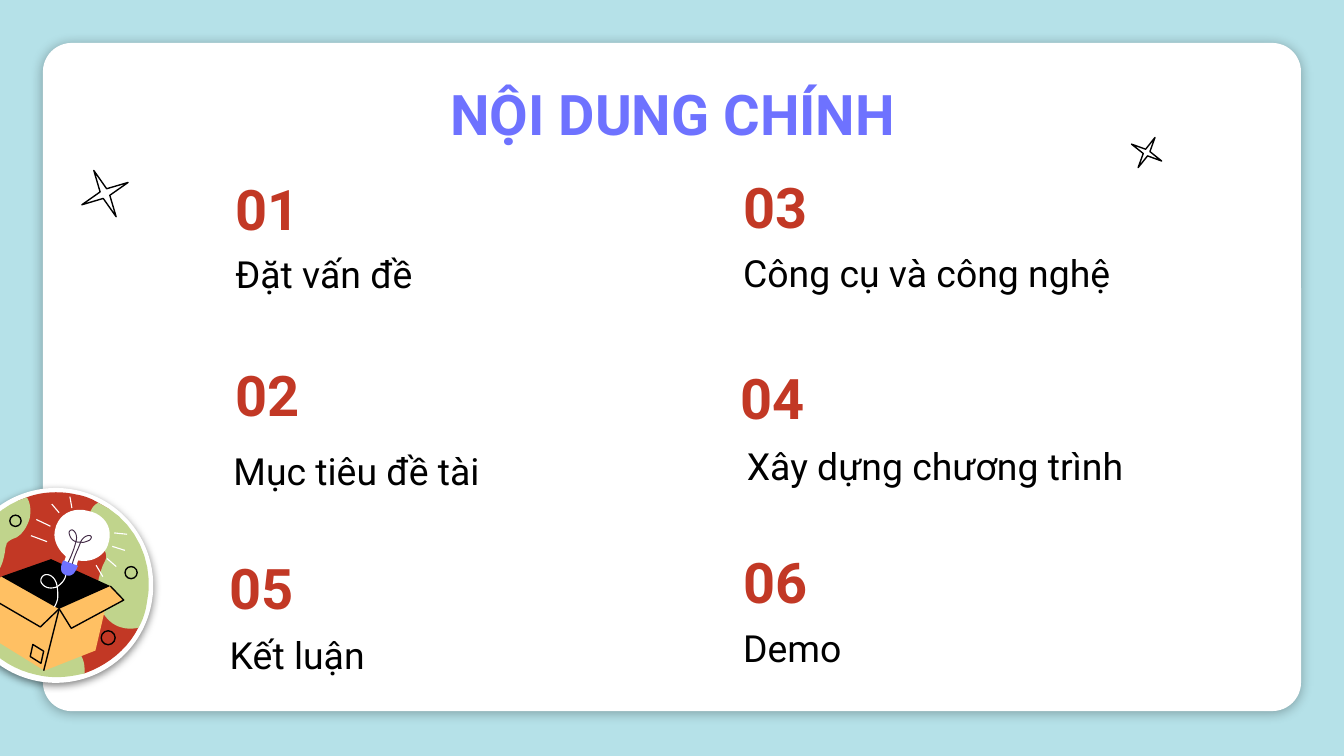
from lxml import etree
from pptx import Presentation
from pptx.dml.color import RGBColor
from pptx.enum.shapes import MSO_SHAPE as Shape
from pptx.enum.text import MSO_ANCHOR as Anchor, PP_ALIGN as Align
from pptx.oxml import parse_xml
from pptx.oxml.ns import nsdecls, qn
from pptx.util import Pt

COLORS = {
    "sky": "B5E1E8", "white": "FFFFFF", "black": "000000", "violet": "6E72FF",
    "red": "C23825", "green": "C0D48C", "carton": "FFC063", "plum": "412945",
}

# Number, label, and their boxes: left, top, width, height
AGENDA = [
    ("01", (119, 86.5, 75, 50), "Đặt vấn đề", (119, 137, 230, 29)),
    ("02", (119, 186.5, 171, 50), "Mục tiêu đề tài", (118, 232, 205, 39.5)),
    ("03", (391, 85.5, 75, 50), "Công cụ và công nghệ", (391, 125.5, 262, 40)),
    ("04", (389.5, 188, 75, 50), "Xây dựng chương trình", (393, 227.5, 230, 41)),
    ("05", (116, 290, 75, 50), "Kết luận", (116, 334, 123, 36)),
    ("06", (391, 286.5, 75, 50), "Demo", (391, 330, 123, 36)),
]

# The badge is drawn on a grid this many units wide and high.
BADGE_GRID = 145

# Curves: a start point, then two control points and an end point per segment
BACKDROP = [
    ("red", [(112, 79), (111, 85), (137, 99), (134, 104), (126, 120), (111, 132), (94, 138),
             (82, 141), (74, 125), (62, 123), (43, 118), (23, 123), (14, 108),
             (8, 97), (4, 85), (4, 72), (4, 67), (24, 62), (25, 57),
             (31, 32), (29, 14), (51, 7), (62, 3), (75, 2), (88, 5),
             (94, 6), (99, 8), (104, 11), (132, 24), (119, 47), (112, 79)]),
    ("green", [(140, 87), (139, 93), (137, 99), (134, 104), (130, 105), (126, 105), (122, 104),
               (113, 102), (107, 94), (104, 86), (102, 77), (104, 67), (107, 59),
               (108, 56), (110, 54), (110, 51), (110, 45), (103, 40), (100, 35),
               (95, 28), (96, 15), (104, 11), (132, 24), (147, 56), (140, 87)]),
    ("green", [(53, 23), (51, 29), (48, 34), (43, 37), (40, 38), (38, 39), (36, 41),
               (36, 42), (35, 44), (35, 45), (34, 53), (32, 61), (26, 66),
               (21, 72), (12, 74), (4, 72), (4, 67), (5, 62), (6, 57),
               (11, 33), (29, 14), (51, 7), (54, 12), (54, 18), (53, 23)]),
    ("green", [(94, 138), (82, 141), (70, 142), (58, 139), (39, 135), (23, 123), (14, 108),
               (17, 106), (21, 105), (24, 104), (32, 104), (39, 106), (44, 112),
               (45, 113), (46, 114), (47, 114), (49, 115), (52, 115), (54, 115),
               (61, 114), (68, 113), (75, 115), (82, 116), (89, 120), (92, 126),
               (94, 130), (94, 134), (94, 138)]),
]
BULB = [(112, 40), (115, 29), (108, 19), (96, 17), (85, 14), (74, 20), (72, 31),
        (70, 38), (74, 46), (80, 51), (80, 51), (79, 54), (79, 54),
        (78, 57), (79, 60), (82, 60), (84, 61), (87, 60), (88, 58),
        (88, 58), (89, 54), (89, 54), (100, 56), (110, 50), (112, 40)]
FILAMENT = [(81, 57), (84, 51), (86, 46), (87.5, 40), (84, 39), (83, 36), (82.5, 34),
            (82, 32), (84, 31), (85, 31.3), (88, 33), (88.5, 37), (87.5, 40),
            (89, 40.5), (90, 40.5), (91, 40.3), (92, 38), (94, 36), (96.5, 35.5),
            (99, 35), (100, 37), (97.5, 39), (95, 40), (93, 41), (91, 40.3),
            (89, 46), (86, 51), (84.5, 58)]
CAP = [(78, 54), (78, 54), (89, 58), (89, 58), (88, 60), (86, 67), (80, 65),
       (74, 63), (77, 56), (78, 54)]
THREAD = [(71.5, 88.5), (73, 86), (74, 83), (74, 81), (74, 79), (74, 76), (73.5, 73.5),
          (70, 75), (65, 75), (62.5, 71.5), (60, 69), (62, 65), (65, 64.5),
          (69, 64), (73, 68), (73.5, 73.5), (77, 71), (80, 68), (80, 63.5)]

# Straight outlines
CARTON = [(123, 84), (113, 73), (32, 66), (18, 78), (28, 84), (22, 110),
          (64, 136), (102, 121), (109, 91)]
OPENING = [(113, 73), (75, 90), (71, 88), (32, 66), (69, 53)]
FLAPS = [(113, 73), (123, 83.5), (84, 104.5), (75, 90), (61, 103.5), (18, 78.5)]
LABEL = [(61.5, 130.5), (53.5, 125.5), (55.5, 116.5), (63.5, 121.5), (61.5, 130.5)]
EDGE = ((75, 90), (63.5, 136))
RAYS = [((54, 35.5), (66, 40)), ((58, 23.5), (68.5, 28.5)), ((69.5, 12), (75, 18.5)),
        ((83, 6.5), (84.5, 15)), ((116, 33.5), (125.5, 34.5)), ((114.5, 43.5), (124, 46.5)),
        ((110.5, 52.5), (117.5, 58.5)), ((102.5, 57.5), (107.5, 66))]
RINGS = [(42.5, 24.5, 4.2), (128.5, 63, 4.5), (111.5, 111.5, 5.2)]  # centre x, y, radius


def color(name):
    return RGBColor.from_string(COLORS[name])


def paint(shape, fill=None, line=None, width=0.75):
    shape.shadow.inherit = False
    if fill:
        shape.fill.solid()
        shape.fill.fore_color.rgb = color(fill)
    else:
        shape.fill.background()
    if line:
        shape.line.color.rgb = color(line)
        shape.line.width = Pt(width)
    else:
        shape.line.fill.background()


def add_shadow(shape, blur, opacity):
    effects = shape._element.spPr.find(qn("a:effectLst"))
    effects.append(parse_xml(
        f'<a:outerShdw {nsdecls("a")} blurRad="{Pt(blur)}" dist="{Pt(1.5)}" dir="5400000" '
        f'algn="bl" rotWithShape="0"><a:srgbClr val="{COLORS["black"]}">'
        f'<a:alpha val="{opacity * 1000}"/></a:srgbClr></a:outerShdw>'))


def add_preset(shapes, kind, box, **style):
    shape = shapes.add_shape(kind, *map(Pt, box))
    paint(shape, **style)
    return shape


def add_text(slide, text, box, size=20, ink="black", bold=False, align=Align.LEFT,
             anchor=Anchor.BOTTOM):
    frame = slide.shapes.add_textbox(*map(Pt, box)).text_frame
    frame.word_wrap = True
    frame.vertical_anchor = anchor
    frame.margin_left = frame.margin_right = frame.margin_top = frame.margin_bottom = Pt(7.2)
    paragraph = frame.paragraphs[0]
    paragraph.alignment = align
    run = paragraph.add_run()
    run.text = text
    run.font.name, run.font.size, run.font.bold = "Roboto", Pt(size), bold
    run.font.color.rgb = color(ink)


def bezier(points, steps=10):
    """Return points along a chain of cubic curves."""
    result = [points[0]]
    for i in range(0, len(points) - 1, 3):
        for step in range(1, steps + 1):
            t = step / steps
            weights = ((1 - t) ** 3, 3 * t * (1 - t) ** 2, 3 * t * t * (1 - t), t ** 3)
            result.append(tuple(sum(w * p[axis] for w, p in zip(weights, points[i:i + 4]))
                                for axis in (0, 1)))
    return result


def draw_card(slide, box):
    card = add_preset(slide.shapes, Shape.ROUNDED_RECTANGLE, box, fill="white")
    card.adjustments[0] = 0.043
    add_shadow(card, blur=6.8, opacity=31)


def draw_star(slide, box, rotation):
    star = add_preset(slide.shapes, Shape.STAR_4_POINT, box, line="black")
    star.adjustments[0] = 0.1
    star.rotation = rotation


def draw_badge(slide, box):
    left, top, width, _ = box
    unit = width / BADGE_GRID
    shapes = slide.shapes.add_group_shape().shapes

    def place(point):
        return Pt(left + point[0] * unit), Pt(top + point[1] * unit)

    def outline(points, closed=True, **style):
        start, *rest = map(place, points)
        builder = shapes.build_freeform(*start)
        builder.add_line_segments(rest, close=closed)
        paint(builder.convert_to_shape(), **style)

    def stroke(start, end, ink, line_width):
        line = shapes.add_connector(1, *place(start), *place(end))
        line.line.color.rgb = color(ink)
        line.line.width = Pt(line_width)
        etree.SubElement(line._element.spPr, qn("a:effectLst"))

    # Disc and its coloured patches
    add_shadow(add_preset(shapes, Shape.OVAL, box, fill="white"), blur=4.5, opacity=50)
    for ink, points in BACKDROP:
        outline(bezier(points), fill=ink)
    for start, end in RAYS:
        stroke(start, end, "white", 0.6)

    # Open carton
    outline(CARTON, fill="carton")
    outline(OPENING, fill="black")
    outline(FLAPS, closed=False, line="black")
    stroke(*EDGE, "black", 0.75)
    outline(LABEL, line="black")

    # Light bulb on its thread
    outline(bezier(THREAD), closed=False, line="white", width=0.6)
    outline(bezier(BULB), fill="white")
    outline(bezier(FILAMENT), closed=False, line="plum", width=0.5)
    outline(bezier(CAP), fill="violet")

    for x, y, radius in RINGS:
        ring = (left + (x - radius) * unit, top + (y - radius) * unit,
                2 * radius * unit, 2 * radius * unit)
        add_preset(shapes, Shape.OVAL, ring, line="black")


def draw_agenda_item(slide, number, number_box, label, label_box):
    add_text(slide, number, number_box, size=30, ink="red", bold=True)
    add_text(slide, label, label_box)


def main():
    presentation = Presentation()
    presentation.slide_width, presentation.slide_height = Pt(720), Pt(405)
    slide = presentation.slides.add_slide(presentation.slide_layouts[6])
    slide.background.fill.solid()
    slide.background.fill.fore_color.rgb = color("sky")

    draw_card(slide, (23, 23, 674, 358))
    add_text(slide, "NỘI DUNG CHÍNH", (57, 35.5, 607, 45), size=30, ink="violet", bold=True,
             align=Align.CENTER, anchor=Anchor.TOP)
    for item in AGENDA:
        draw_agenda_item(slide, *item)
    draw_badge(slide, (-22.3, 261.4, 104.4, 104.4))
    draw_star(slide, (605, 72.5, 18.5, 18.5), 29.2)
    draw_star(slide, (42.5, 90, 27.5, 27.5), 334.2)
    presentation.save("out.pptx")


if __name__ == "__main__":
    main()
